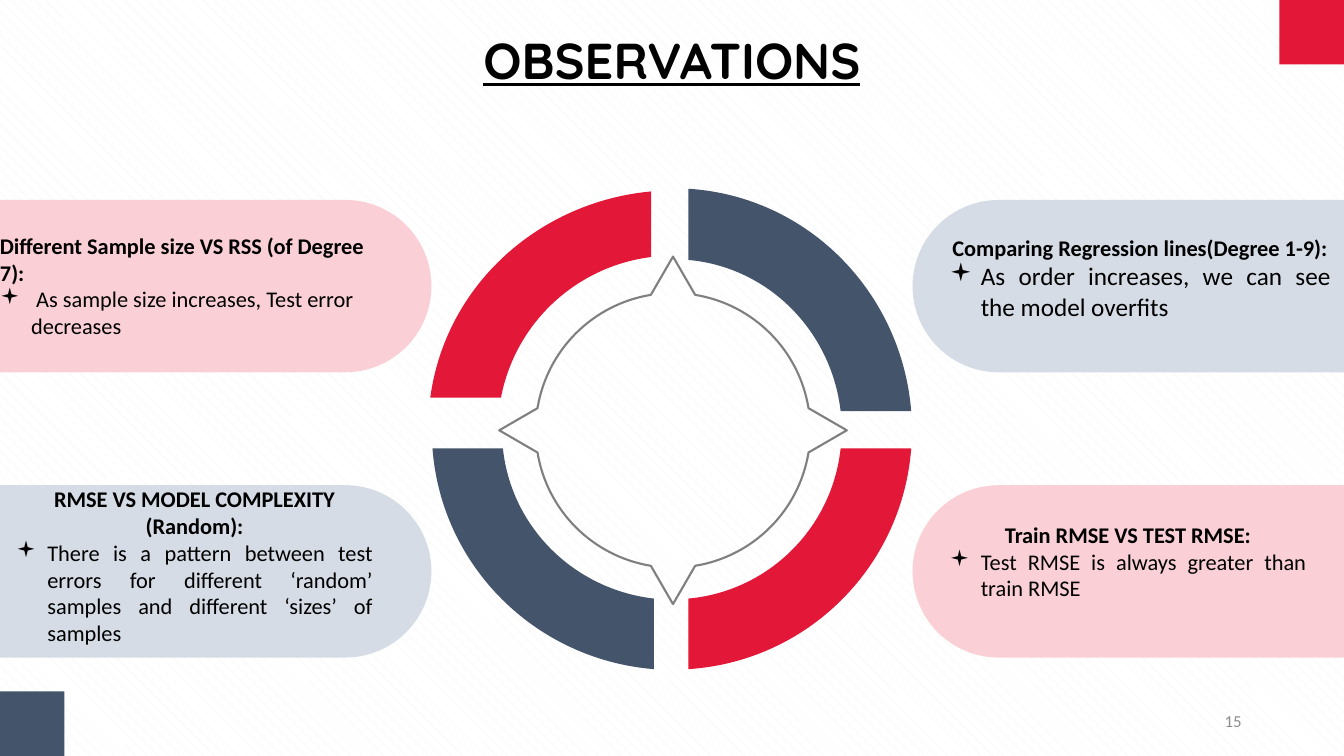
import math
from collections import namedtuple
from dataclasses import dataclass

from lxml import etree
from pptx import Presentation, util as u
from pptx.dml.color import RGBColor
from pptx.enum import dml, shapes, text
from pptx.oxml import ns

Box = namedtuple("Box", "x y w h")
COLS, ROWS = 100, 56.25  # square grid cells across and down the slide
CELL = u.Inches(13.33) / COLS
ALIGN = text.PP_ALIGN


@dataclass(frozen=True)
class Theme:
    red: str = "E31737"
    navy: str = "44546A"
    pink: str = "FAD0D6"
    mist: str = "D6DCE5"
    hatch: str = "F2F2F2"
    white: str = "FFFFFF"
    ink: str = "000000"
    outline: str = "7F7F7F"
    number: str = "8C8C8C"
    body_font: str = "Calibri"
    title_font: str = "Quicksand"
    bullet_font: str = "Wingdings"
    title: int = 36
    large: int = 18
    body: int = 16
    small: int = 12


T = Theme()
HEADING = dict(name=T.body_font, size=T.body, bold=True)
POINT = dict(name=T.body_font, size=T.body, bold=False)


def cells(*lengths):
    """Turn grid cells into EMU."""
    return [u.Emu(round(n * CELL)) for n in lengths]


def paint(sp, fill=None, line=None):
    sp.shadow.inherit = False
    if fill:
        sp.fill.solid()
        sp.fill.fore_color.rgb = RGBColor.from_string(fill)
    else:
        sp.fill.background()
    if line:
        sp.line.color.rgb = RGBColor.from_string(line)
        sp.line.width = u.Pt(1.5)
    else:
        sp.line.fill.background()


def add_text(slide, box, paragraphs, **frame):
    """Each paragraph is (words, alignment, font values, bulleted)."""
    tf = slide.shapes.add_textbox(*cells(*box)).text_frame
    for key, value in {"word_wrap": True, **frame}.items():
        setattr(tf, key, value)
    for i, (words, align, font, bulleted) in enumerate(paragraphs):
        p = tf.add_paragraph() if i else tf.paragraphs[0]
        p.alignment = align
        if bulleted:
            pPr = p._p.get_or_add_pPr()
            indent = u.Inches(0.31)
            pPr.set("marL", str(indent))
            pPr.set("indent", str(-indent))
            etree.SubElement(pPr, ns.qn("a:buFont")).set("typeface", T.bullet_font)
            etree.SubElement(pPr, ns.qn("a:buChar")).set("char", "▪")
        r = p.add_run()
        r.text = words
        values = {"color": T.ink, **font}
        r.font.color.rgb = RGBColor.from_string(values.pop("color"))
        r.font.size = u.Pt(values.pop("size"))
        for key, value in values.items():
            setattr(r.font, key, value)


FLUSH = dict.fromkeys(
    ("margin_left", "margin_top", "margin_right", "margin_bottom"), 0)
FLUSH["auto_size"] = text.MSO_AUTO_SIZE.SHAPE_TO_FIT_TEXT


def frame_slide(slide, box):
    """Background, corner squares, title and page number."""
    fill = slide.background.fill
    fill.patterned()
    fill.pattern = dml.MSO_PATTERN.SHINGLE
    fill.fore_color.rgb = RGBColor.from_string(T.hatch)
    fill.back_color.rgb = RGBColor.from_string(T.white)

    side = 4.8
    corners = ((box.x + box.w - side, box.y, T.red),
               (box.x, box.y + box.h - side, T.navy))
    for x, y, color in corners:
        square = slide.shapes.add_shape(
            shapes.MSO_SHAPE.RECTANGLE, *cells(x, y, side, side))
        paint(square, color)

    title = dict(name=T.title_font, size=T.title, bold=True, underline=True)
    add_text(slide, Box(box.x + 12, box.y + 2.12, 76, 4.58),
             [("OBSERVATIONS", ALIGN.CENTER, title, False)],
             vertical_anchor=text.MSO_ANCHOR.MIDDLE, **FLUSH)
    number = dict(name=T.body_font, size=T.small, color=T.number)
    add_text(slide, Box(box.x + 70.63, box.y + 52.13, 22.5, 3),
             [("15", ALIGN.RIGHT, number, False)],
             vertical_anchor=text.MSO_ANCHOR.MIDDLE)


def arc(start, end):
    """Two control points and the end of a curve round the origin."""
    (x0, y0), (x1, y1) = start, end
    turn = math.remainder(math.atan2(y1, x1) - math.atan2(y0, x0), math.tau)
    k = 4 / 3 * math.tan(turn / 4)
    return [(x0 - k * y0, y0 + k * x0), (x1 + k * y1, y1 - k * x1), end]


def add_outline(group, box, steps, **colors):
    """Steps of one point are straight, steps of three are curves."""
    cx, cy = box.x + box.w / 2, box.y + box.h / 2
    first, *rest = [cells(cx + x, cy + y) for step in steps for x, y in step]
    builder = group.shapes.build_freeform(*first, scale=1.0)
    builder.add_line_segments(rest, close=True)
    sp = builder.convert_to_shape()
    lines = iter(list(sp._element.iter(ns.qn("a:lnTo"))))
    for step in steps[1:]:
        curve, *others = [next(lines) for _ in step]
        if others:
            curve.tag = ns.qn("a:cubicBezTo")
        for other in others:
            curve.append(other[0])
            other.getparent().remove(other)
    paint(sp, **colors)


def add_ring(slide, box):
    """Four ring segments around a compass outline."""
    group = slide.shapes.add_group_shape()
    # inner edges (x, y), outer reach (x, y), inner reach (x, y), colour
    segments = (
        (-1.64, -2.44, -18.06, -17.78, -12.8, -12.9, T.red),
        (1.14, 1.35, 17.72, 17.77, 12.47, 12.52, T.red),
        (-1.43, 1.35, -17.9, 17.77, -12.66, 12.52, T.navy),
        (1.14, -1.43, 17.72, -17.98, 12.47, -12.68, T.navy),
    )
    for edge_x, edge_y, out_x, out_y, in_x, in_y, color in segments:
        outer = (out_x, edge_y), (edge_x, out_y)
        inner = (edge_x, in_y), (in_x, edge_y)
        add_outline(group, box, [outer[:1], arc(*outer), inner[:1], arc(*inner)],
                    fill=color)

    tip, base, half = 12.93, 10.08, 1.65
    start, end = (half, -base), (base, -half)
    quarter = [[(0, -tip)], [start], arc(start, end)]
    steps = []
    for _ in range(4):
        steps += quarter
        quarter = [[(-y, x) for x, y in step] for step in quarter]
    add_outline(group, box, steps, line=T.outline)


def add_panel(slide, box, color, inset, paragraphs):
    """Tab rounded towards the ring; inset is the text box inside it."""
    cx, cy = box.x + box.w / 2, box.y + box.h / 2
    tab = slide.shapes.add_shape(
        shapes.MSO_SHAPE.ROUND_2_SAME_RECTANGLE,
        *cells(cx - box.h / 2, cy - box.w / 2, box.h, box.w))
    tab.rotation = 90 if cx < COLS / 2 else 270
    tab.adjustments[0], tab.adjustments[1] = 0.5, 0
    paint(tab, color)
    x, y, w, h = inset
    add_text(slide, Box(box.x + x, box.y + y, w, h), paragraphs, **FLUSH)


def observations_slide(prs):
    slide = prs.slides.add_slide(prs.slide_layouts[6])
    frame_slide(slide, Box(0, 0, COLS, ROWS))
    add_ring(slide, Box(32.08, 14.03, 36, 36))

    panel_w, panel_h = 32.1, 12.83
    left, right, upper, lower = 0, COLS - panel_w, 14.88, 36.11
    mid, just = ALIGN.CENTER, ALIGN.JUSTIFY
    panels = (
        (right, upper, T.mist, (2.75, 2.52, 28.35, 6.6), mid, just, T.large,
         "Comparing Regression lines(Degree 1-9):",
         "As order increases, we can see the model overfits"),
        (right, lower, T.pink, (2.75, 2.65, 26.55, 8.1), mid, just, T.body,
         "Train RMSE VS TEST RMSE:",
         "Test RMSE is always greater than train RMSE"),
        (left, lower, T.mist, (1.2, 0, 26.55, 14.1), mid, just, T.body,
         "RMSE VS MODEL COMPLEXITY (Random):",
         "There is a pattern between test errors for different ‘random’ "
         "samples and different ‘sizes’ of samples"),
        (left, upper, T.pink, (0, 2.37, 28.95, 6.08), ALIGN.LEFT, ALIGN.LEFT,
         T.body, "Different Sample size VS RSS (of Degree 7):",
         " As sample size increases, Test error decreases"),
    )
    for x, y, color, inset, head_al, point_al, size, heading, point in panels:
        add_panel(slide, Box(x, y, panel_w, panel_h), color, inset,
                  [(heading, head_al, HEADING, False),
                   (point, point_al, {**POINT, "size": size}, True)])


def main():
    prs = Presentation()
    prs.slide_width, prs.slide_height = u.Inches(13.33), u.Inches(7.5)
    observations_slide(prs)
    prs.save("out.pptx")


if __name__ == "__main__":
    main()
